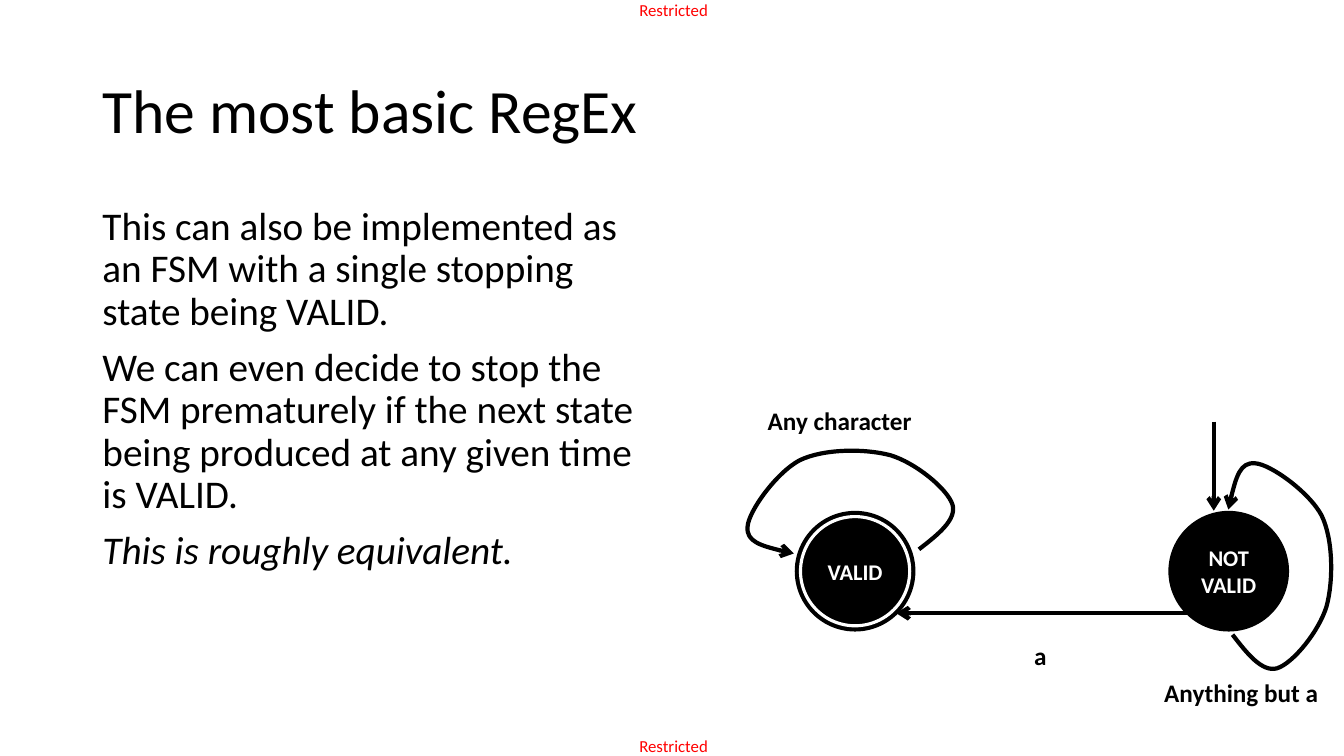
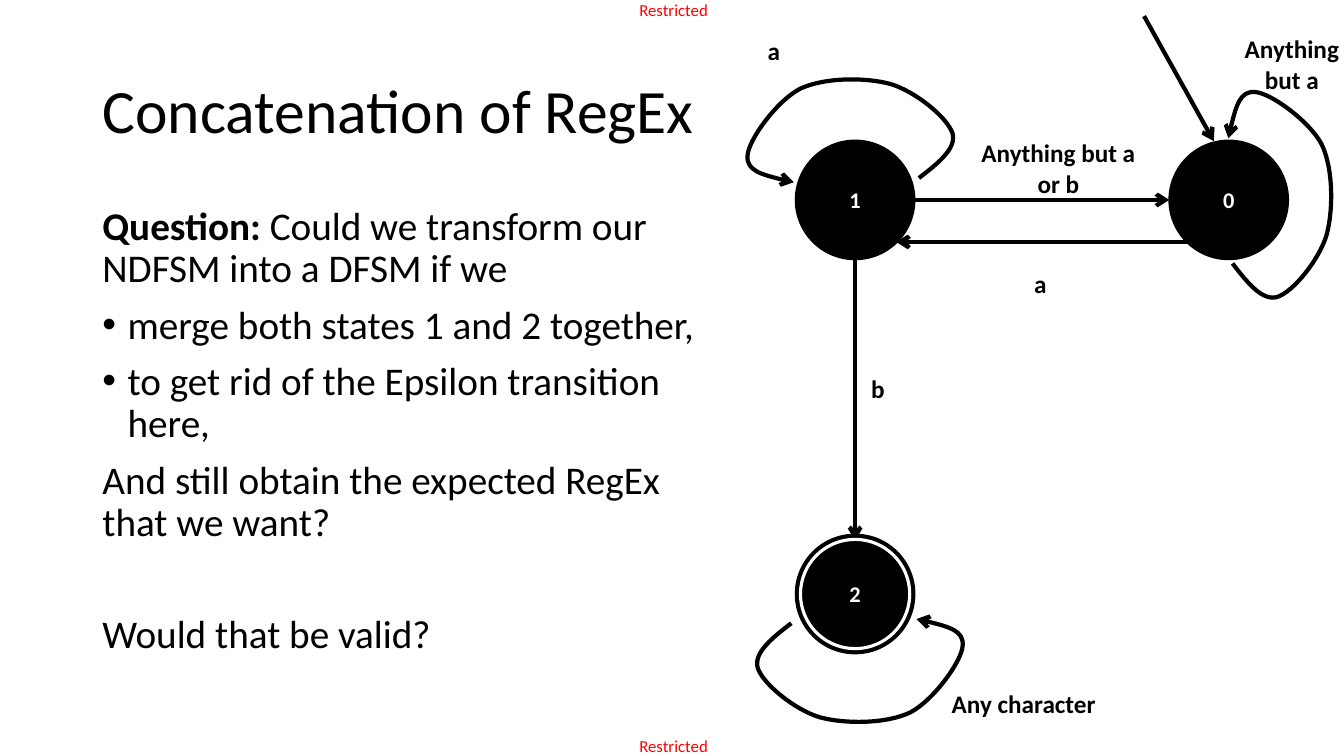
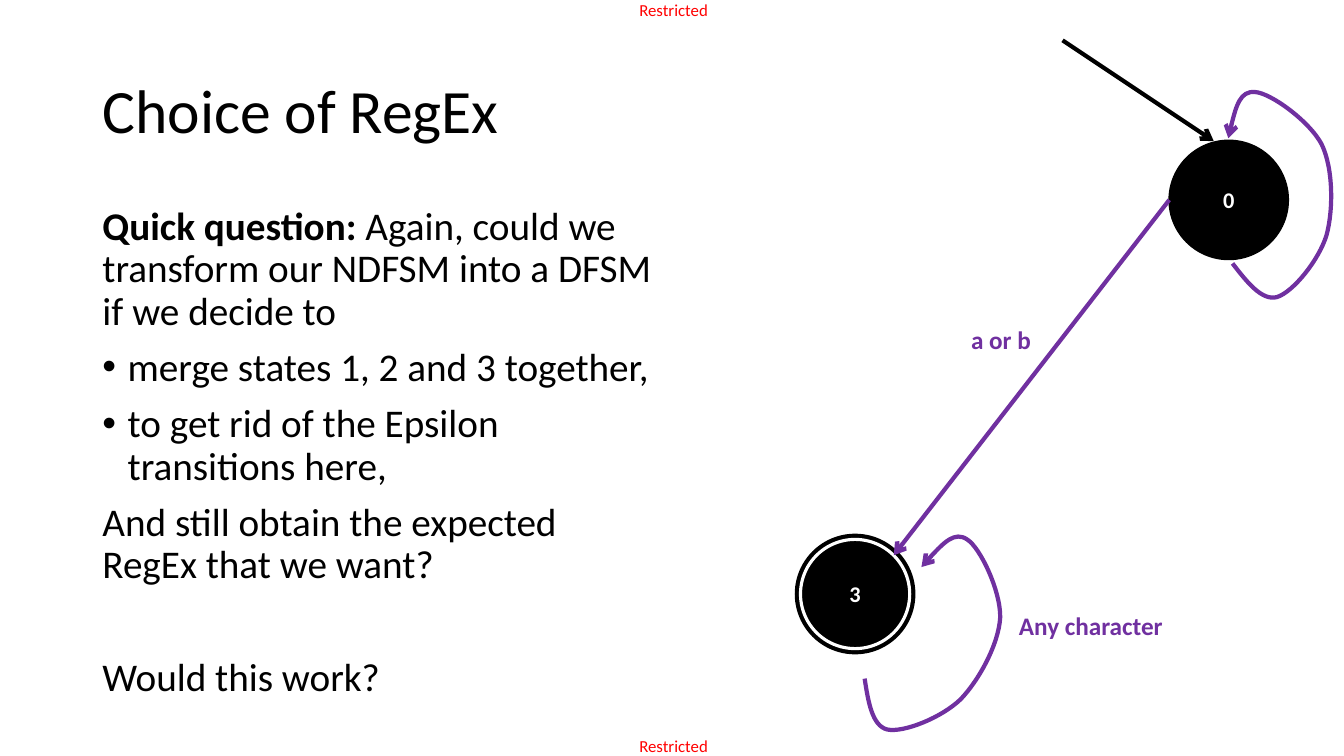
import math
from dataclasses import dataclass

from lxml import etree
from pptx import Presentation, util as u
from pptx.dml.color import RGBColor
from pptx.enum import shapes, text
from pptx.oxml.ns import qn


@dataclass(frozen=True)
class Theme:
    font: str = "Calibri"
    ink: str = "000000"
    paper: str = "FFFFFF"
    accent: str = "7030A0"
    notice: str = "FF0000"
    title: float = 44
    body: float = 28
    label: float = 18
    state: float = 16
    small: float = 12
    edge: float = 3
    ring: float = 2.25
    outline: float = 1


T = Theme()
COLS, ROWS = 80, 45
CELL = u.Inches(7.5) / ROWS
LEFT, RIGHT = 50.9, 73.14
TOP, MIDDLE, BOTTOM = 11.9, 34, 35.36
MARGIN = 6.1
LOOP = [(-2.8, 4.1), (-1.95, 5.2), (-1.05, 6.35), (-0.15, 6.1),
        (0.8, 5.8), (2.35, 3.9), (2.8, 2.4), (3.2, 0.9),
        (3.2, -1.55), (2.5, -3), (1.75, -4.4), (-0.55, -6.05),
        (-1.45, -6.1), (-2.35, -6.2), (-2.75, -4.8), (-3.05, -3.35)]


def cells(*values):
    return [u.Emu(round(v * CELL)) for v in values]


def rgb(color):
    return RGBColor.from_string(color)


def write(tf, words, size=T.body, color=T.ink, bold=False, italic=False,
          lead="", align="LEFT", spacing=1, before=0, bullet=False):
    p = tf.paragraphs[0]
    if p.runs:
        p = tf.add_paragraph()
    p.alignment = getattr(text.PP_ALIGN, align)
    p.line_spacing = spacing
    p.space_before = u.Pt(before)
    if bullet:
        pr = p._p.get_or_add_pPr()
        pr.set("marL", str(u.Inches(0.25)))
        pr.set("indent", str(-u.Inches(0.25)))
        etree.SubElement(pr, qn("a:buFont")).set("typeface", "Arial")
        etree.SubElement(pr, qn("a:buChar")).set("char", "•")
    parts = [(lead, True)] if lead else []
    for i, line in enumerate(words.split("\n")):
        if i:
            parts.append(None)
        parts.append((line, bold))
    for part in parts:
        if part is None:
            p.add_line_break()
            continue
        r = p.add_run()
        r.text, r.font.bold = part
        r.font.name, r.font.size = T.font, u.Pt(size)
        r.font.italic = italic
        r.font.color.rgb = rgb(color)


class Deck:
    def __init__(self):
        self.prs = Presentation()
        self.prs.slide_width, self.prs.slide_height = cells(COLS, ROWS)

    def slide(self, title):
        self.s = self.prs.slides.add_slide(self.prs.slide_layouts[6])
        for y in (0, ROWS - 1.2):
            write(self.box(37.6, y, 5, 1.2), "Restricted", size=T.small,
                  color=T.notice, align="CENTER")
        write(self.box(MARGIN, 2.4, 68, 8.7, "MIDDLE"), title,
              size=T.title, spacing=0.9)

    def box(self, x, y, w, h, anchor="TOP"):
        sp = self.s.shapes.add_textbox(*cells(x, y, w, h))
        return self.frame(sp, anchor)

    def frame(self, sp, anchor):
        tf = sp.text_frame
        tf.word_wrap = True
        tf.vertical_anchor = getattr(text.MSO_ANCHOR, anchor)
        tf.margin_left = tf.margin_right = 0
        tf.margin_top = tf.margin_bottom = 0
        return tf

    def body(self, paragraphs, w=32.8):
        tf = self.box(MARGIN, 12.3, w, 32.4)
        for i, (words, fmt) in enumerate(paragraphs):
            write(tf, words, **{"spacing": 0.9, "before": 10 if i else 0, **fmt})

    def label(self, words, x, y, w=10, color=T.ink, align="LEFT"):
        h = 1.8 * len(words.split("\n"))
        write(self.box(x, y, w, h), words, size=T.label, color=color,
              bold=True, align=align)

    def disc(self, x, y, d, line, width):
        sp = self.s.shapes.add_shape(shapes.MSO_SHAPE.OVAL,
                                     *cells(x - d / 2, y - d / 2, d, d))
        sp.shadow.inherit = False
        sp.fill.solid()
        sp.fill.fore_color.rgb = rgb(T.ink)
        sp.line.color.rgb = rgb(line)
        sp.line.width = u.Pt(width)
        return sp

    def state(self, name, x, y, final=False):
        sp = self.disc(x, y, 7.1, T.ink, T.outline)
        if final:
            sp = self.disc(x, y, 6.5, T.paper, T.ring)
        write(self.frame(sp, "MIDDLE"), name, size=T.state, color=T.paper,
              bold=True, align="CENTER")

    def arrow_line(self, sp, color):
        sp.line.color.rgb = rgb(color)
        sp.line.width = u.Pt(T.edge)
        ln = sp.line._get_or_add_ln()
        etree.SubElement(ln, qn("a:tailEnd")).set("type", "arrow")

    def edge(self, x1, y1, x2, y2, color=T.ink):
        c = self.s.shapes.add_connector(shapes.MSO_CONNECTOR.STRAIGHT,
                                        *cells(x1, y1, x2, y2))
        self.arrow_line(c, color)
        etree.SubElement(c._element.spPr, qn("a:effectLst"))

    def edge_back(self, y):
        self.edge(70.7, y + 2.5, 53.35, y + 2.5)
        self.label("a", 61.55, y + 4.1, w=2)

    def loop(self, x, y, turn=0, color=T.ink):
        cos, sin = math.cos(math.radians(turn)), math.sin(math.radians(turn))
        start, *rest = [cells(x + a * cos - b * sin, y + a * sin + b * cos)
                        for a, b in LOOP]
        fb = self.s.shapes.build_freeform(*start)
        fb.add_line_segments(rest, close=False)
        sp = fb.convert_to_shape()
        sp.shadow.inherit = False
        sp.fill.background()
        self.arrow_line(sp, color)
        outline = sp._element.find(".//" + qn("a:path"))
        steps = outline.findall(qn("a:lnTo"))
        for i in range(0, len(steps), 3):
            curve = etree.SubElement(outline, qn("a:cubicBezTo"))
            for step in steps[i:i + 3]:
                curve.append(step[0])
                outline.remove(step)

    def loop_right(self, y, color=T.ink):
        self.loop(RIGHT + 3.03, y - 0.32, color=color)

    def loop_above(self, y):
        self.loop(LEFT - 0.3, y - 4.1, -90)


def basic(d):
    d.slide("The most basic RegEx")
    d.body([
        ("This can also be implemented as an FSM with a single stopping state being VALID.", {}),
        ("We can even decide to stop the FSM prematurely if the next state being "
         "produced at any given time is VALID.", {}),
        ("This is roughly equivalent.", {"italic": True})])
    d.edge(72.25, 25.1, 72.25, 30.4)
    d.state("VALID", LEFT, MIDDLE, final=True)
    d.state("NOT VALID", RIGHT, MIDDLE)
    d.edge_back(MIDDLE)
    d.loop_right(MIDDLE)
    d.loop_above(MIDDLE)
    d.label("Any character", 45.7, 24.1)
    d.label("Anything but a", 69.3, 40.3)


def question(d, lead, ask, merge, rid, close, w=32.8):
    d.body([
        (ask, {"lead": lead}),
        (merge, {"bullet": True}),
        (rid, {"bullet": True}),
        ("And still obtain the expected RegEx that we want?", {}),
        (close, {"before": 50})], w)


def concatenation(d):
    d.slide("Concatenation of RegEx")
    question(d, "Question: ", "Could we transform our NDFSM into a DFSM if we",
             "merge both states 1 and 2 together,",
             "to get rid of the Epsilon transition here,",
             "Would that be valid?", w=36.25)
    d.edge(LEFT, 15.5, LEFT, 32.15)
    d.state("2", LEFT, BOTTOM, final=True)
    d.loop(LEFT + 0.3, BOTTOM + 4.54, 90)
    d.edge(68.1, 0.96, 72.25, 8.4)
    d.state("1", LEFT, TOP)
    d.state("0", RIGHT, TOP)
    d.edge_back(TOP)
    d.edge(54.45, TOP, 69.6, TOP)
    d.loop_right(TOP)
    d.loop_above(TOP)
    d.label("a", 45.7, 2.1, w=2)
    d.label("b", 51.85, 22.2, w=2)
    d.label("Any character", 56.65, 41)
    d.label("Anything\nbut a", 73.8, 2, w=6.2, align="CENTER")
    d.label("Anything but a\nor b", 58, 8.2, align="CENTER")


def choice(d):
    d.slide("Choice of RegEx")
    question(d, "Quick question: ",
             "Again, could we transform our NDFSM into a DFSM if we decide to",
             "merge states 1, 2 and 3 together,",
             "to get rid of the Epsilon transitions here,",
             "Would this work?")
    d.edge(63.25, 2.4, 72.25, 8.4)
    d.state("3", LEFT, BOTTOM, final=True)
    d.state("0", RIGHT, TOP)
    d.edge(69.6, TOP, 53.2, 33.05, color=T.accent)
    d.loop_right(TOP, color=T.accent)
    d.loop(LEFT + 5, BOTTOM + 2.8, 28.9, color=T.accent)
    d.label("a or b", 57.8, 19.3, w=5, color=T.accent)
    d.label("Any character", 60.65, 36.35, color=T.accent)


def main():
    d = Deck()
    for build in (basic, concatenation, choice):
        build(d)
    d.prs.save("out.pptx")


if __name__ == "__main__":
    main()
